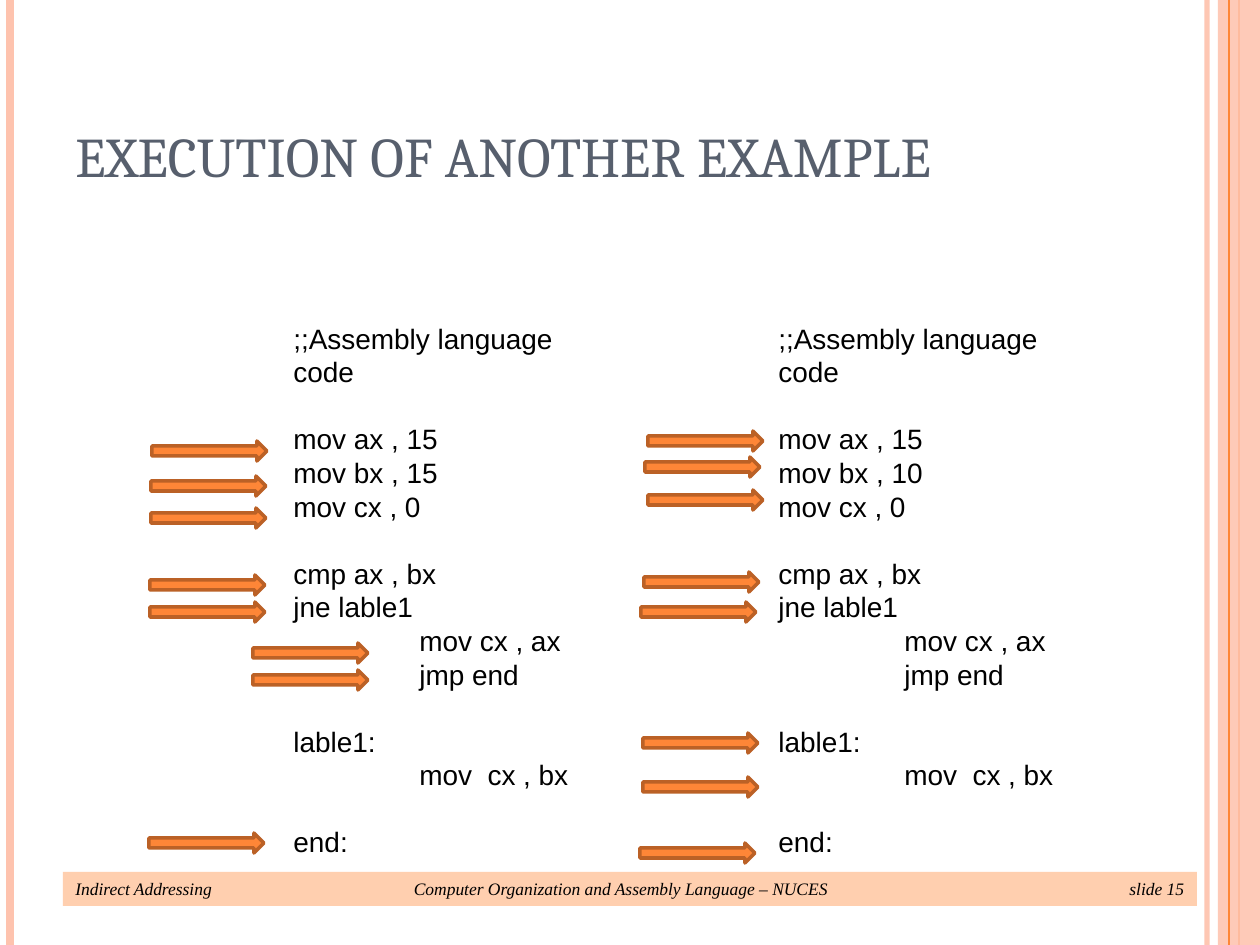
from typing import NamedTuple

from lxml.etree import SubElement as Sub
from pptx import Presentation
from pptx.dml.color import RGBColor
from pptx.enum.shapes import MSO_CONNECTOR as Conn, MSO_SHAPE as Kind
from pptx.enum.text import MSO_ANCHOR as Anchor
from pptx.oxml.ns import qn
from pptx.util import Inches, Pt

SCALE = 914400 / 126
WIDE, HIGH = 1260, 945
PEACH, ORANGE, RUST = "FEC3AE", "FE8637", "BB6126"
STEP = 19.2


class Rule(NamedTuple):
    x: int
    color: str
    width: float
    alpha: int = 100


class Code(NamedTuple):
    left: int
    bx: int
    marks: list[tuple[int, int]]


RULES = [
    Rule(1207, PEACH, 3, 93),
    Rule(10, PEACH, 4.5),
    Rule(1239, ORANGE, 1.5),
]
EDGE = Rule(1229, ORANGE, 0.75)

CODES = [
    Code(281, 15, [(152, 441), (151, 476), (151, 508), (150, 575),
                   (150, 602), (253, 643), (253, 670), (149, 833)]),
    Code(766, 10, [(648, 431), (645, 457), (648, 490), (644, 572),
                   (641, 602), (643, 733), (643, 777), (640, 843)]),
]


def px(n: int) -> int:
    return round(n * SCALE)


def rgb(text: str) -> RGBColor:
    return RGBColor.from_string(text)


def paint(fill, color: str, alpha: int = 100) -> None:
    fill.solid()
    fill.fore_color.rgb = rgb(color)
    if alpha < 100:
        node = fill._xPr.find(qn("a:solidFill"))[0]
        Sub(node, qn("a:alpha"), val=str(alpha * 1000))


def rule(slide, item: Rule) -> None:
    line = slide.shapes.add_connector(
        Conn.STRAIGHT, px(item.x), 0, px(item.x), px(HIGH))
    line.line.width = Pt(item.width)
    paint(line.line.fill, item.color, item.alpha)
    Sub(line._element.spPr, qn("a:effectLst"))


def block(slide, kind, x: int, y: int, w: int, h: int,
          color: str, alpha: int = 100, edge: str = ""):
    shape = slide.shapes.add_shape(kind, px(x), px(y), px(w), px(h))
    shape.shadow.inherit = False
    paint(shape.fill, color, alpha)
    if edge:
        shape.line.color.rgb = rgb(edge)
        shape.line.width = Pt(2)
    else:
        shape.line.fill.background()
    return shape


def write(slide, text: str, x: int, y: int, w: int, h: int, *, font: str,
          size: int, color: str = "000000", italic: bool = False,
          anchor=Anchor.TOP, tabs: tuple = (), step: float = 0) -> None:
    box = slide.shapes.add_textbox(px(x), px(y), px(w), px(h))
    frame = box.text_frame
    frame.word_wrap = True
    frame.vertical_anchor = anchor
    first = True
    for group in text.split("\n\n"):
        for i, words in enumerate(group.split("\n")):
            para = frame.paragraphs[0] if first else frame.add_paragraph()
            para.text = words
            if step:
                para.line_spacing = Pt(step)
                para.space_before = Pt(0 if first or i else step)
            if tabs:
                stops = Sub(para._p.get_or_add_pPr(), qn("a:tabLst"))
                for spot, side in tabs:
                    Sub(stops, qn("a:tab"), pos=str(Inches(spot)), algn=side)
            for run in para.runs:
                run.font.name = font
                run.font.size = Pt(size)
                run.font.italic = italic
                run.font.color.rgb = rgb(color)
            first = False


def code(slide, item: Code) -> None:
    text = f""";;Assembly language code

mov ax , 15
mov bx , {item.bx}
mov cx , 0

cmp ax , bx
jne lable1
\tmov cx , ax
\tjmp end

lable1:
\tmov  cx , bx

end:"""
    write(slide, text, item.left, 315, 344, 583, font="Arial", size=16,
          tabs=((1, "l"),), step=STEP)


def main() -> None:
    deck = Presentation()
    deck.slide_width, deck.slide_height = px(WIDE), px(HIGH)
    slide = deck.slides.add_slide(deck.slide_layouts[6])
    for item in RULES:
        rule(slide, item)
    block(slide, Kind.RECTANGLE, 1218, 0, 42, HIGH, PEACH, 87)
    rule(slide, EDGE)
    foot = (63, 872, 1134, 34)
    block(slide, Kind.RECTANGLE, *foot, "FFCFAF")
    write(slide, "Indirect Addressing\t Computer Organization and Assembly "
          "Language – NUCES\t slide 15", *foot, font="Times New Roman",
          size=10, italic=True, tabs=((4.31, "ctr"), (8.8, "r")))
    write(slide, "EXECUTION OF ANOTHER EXAMPLE", 63, 38, 1029, 157,
          font="Cambria", size=32, color="575F6D", anchor=Anchor.BOTTOM)
    for item in CODES:
        code(slide, item)
    for item in CODES:
        for x, y in item.marks:
            block(slide, Kind.RIGHT_ARROW, x, y, 115, 20, ORANGE, edge=RUST)
    deck.save("out.pptx")


if __name__ == "__main__":
    main()
